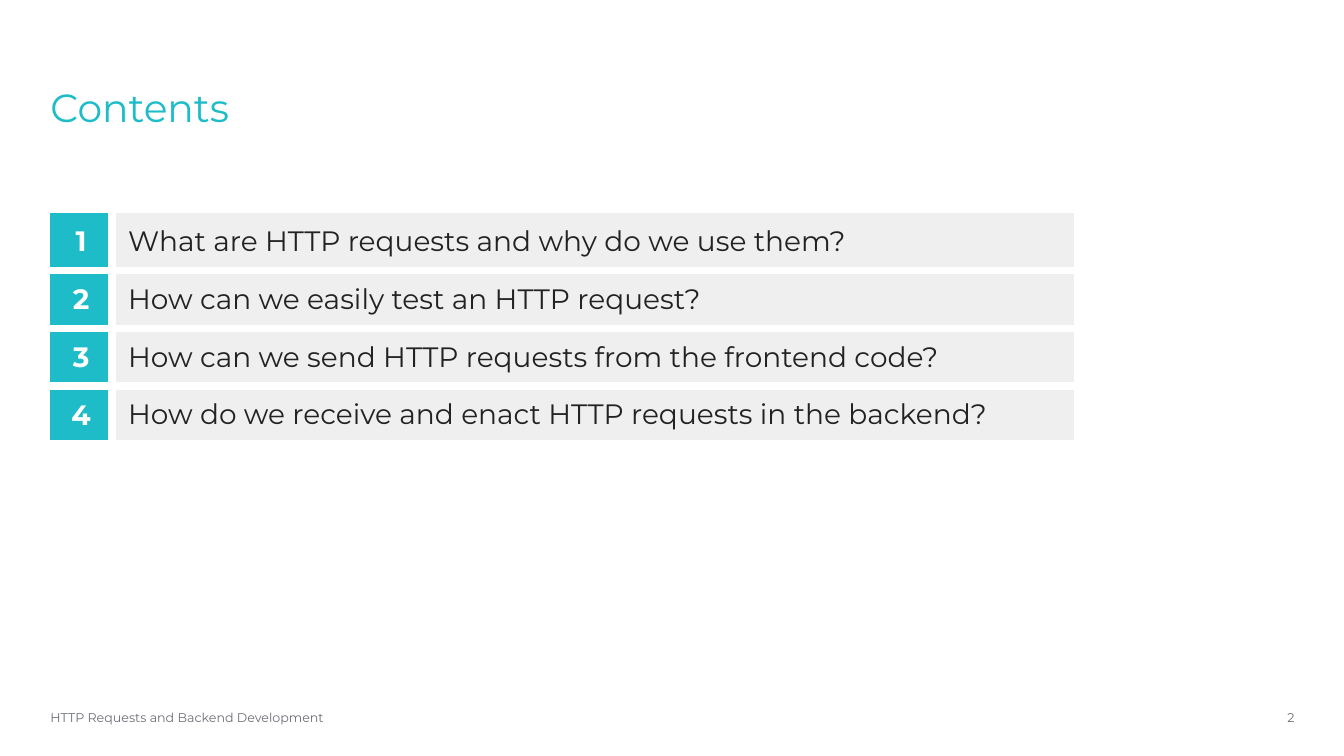
"""Build the contents slide: a title, a numbered table and a footer."""
from lxml.etree import SubElement
from pptx import Presentation
from pptx.dml.color import RGBColor as Rgb
from pptx.enum.text import MSO_ANCHOR as Anchor, PP_ALIGN as Align
from pptx.oxml.ns import qn
from pptx.util import Inches, Pt

TITLE = "Contents"
ITEMS = [
    "What are HTTP requests and why do we use them?",
    "How can we easily test an HTTP request?",
    "How can we send HTTP requests from the frontend code?",
    "How do we receive and enact HTTP requests in the backend?",
]
FOOTER = "HTTP Requests and Backend Development"
PAGE = "2"

FONT = "Montserrat"
HEX = {"teal": "1EBCC8", "pale": "EFEFEF", "ink": "222222",
       "gray": "6D6F78", "white": "FFFFFF"}
PLAIN = "{2D5ABB26-0587-4C30-8999-92F81FD0307C}"
WIDE, HIGH = 13.33, 7.5
LEFT, TOP = 0.5, 2.11
COLS = (0.61, 9.54)
ROW = 0.57
FOOT = (6.99, 0.25)


def color(name):
    return Rgb.from_string(HEX[name])


def style(para, size, tint, bold=False, align=Align.LEFT):
    font = para.font
    font.name, font.size, font.bold = FONT, Pt(size), bold
    font.color.rgb = color(tint)
    para.alignment = align


def label(slide, box, text, size, tint, anchor=Anchor.MIDDLE,
          align=Align.LEFT, space=1.0):
    frame = slide.shapes.add_textbox(*map(Inches, box)).text_frame
    frame.word_wrap = True
    frame.vertical_anchor = anchor
    frame.margin_left = frame.margin_right = 0
    frame.margin_top = frame.margin_bottom = 0
    para = frame.paragraphs[0]
    para.text = text
    para.line_spacing = space
    style(para, size, tint, align=align)


def edge(cell, sides):
    props = cell._tc.get_or_add_tcPr()
    for side in sides:
        line = SubElement(props, qn(f"a:ln{side}"), w=str(Pt(6)))
        fill = SubElement(line, qn("a:solidFill"))
        SubElement(fill, qn("a:srgbClr"), val=HEX["white"])


def agenda(slide):
    size = (LEFT, TOP, sum(COLS), ROW * len(ITEMS))
    table = slide.shapes.add_table(
        len(ITEMS), len(COLS), *map(Inches, size)).table
    table.first_row = table.horz_banding = False
    table._tbl.tblPr.find(qn("a:tableStyleId")).text = PLAIN
    for col, width in zip(table.columns, COLS):
        col.width = Inches(width)
    looks = [("teal", "white", True, Align.CENTER, 0.12, "R"),
             ("pale", "ink", False, Align.LEFT, 0.08, "L")]
    for row, item in enumerate(ITEMS):
        table.rows[row].height = Inches(ROW)
        for col, text in enumerate((str(row + 1), item)):
            back, tint, bold, align, pad, side = looks[col]
            cell = table.cell(row, col)
            edge(cell, side + ("TB" if row else "B"))
            cell.fill.solid()
            cell.fill.fore_color.rgb = color(back)
            cell.vertical_anchor = Anchor.MIDDLE
            cell.margin_left = cell.margin_right = Inches(0.16)
            cell.margin_top = cell.margin_bottom = Inches(pad)
            cell.text = text
            style(cell.text_frame.paragraphs[0], 20, tint, bold, align)


def main():
    deck = Presentation()
    deck.slide_width, deck.slide_height = Inches(WIDE), Inches(HIGH)
    slide = deck.slides.add_slide(deck.slide_layouts[6])
    label(slide, (LEFT, 0.88, 11.54, 1.24), TITLE, 28, "teal",
          anchor=Anchor.TOP, space=0.9)
    agenda(slide)
    y, h = FOOT
    label(slide, (LEFT, y, 9.11, h), FOOTER, 9, "gray")
    label(slide, (WIDE - LEFT - 0.79, y, 0.8, h), PAGE, 9, "gray",
          align=Align.RIGHT)
    deck.save("out.pptx")


if __name__ == "__main__":
    main()
